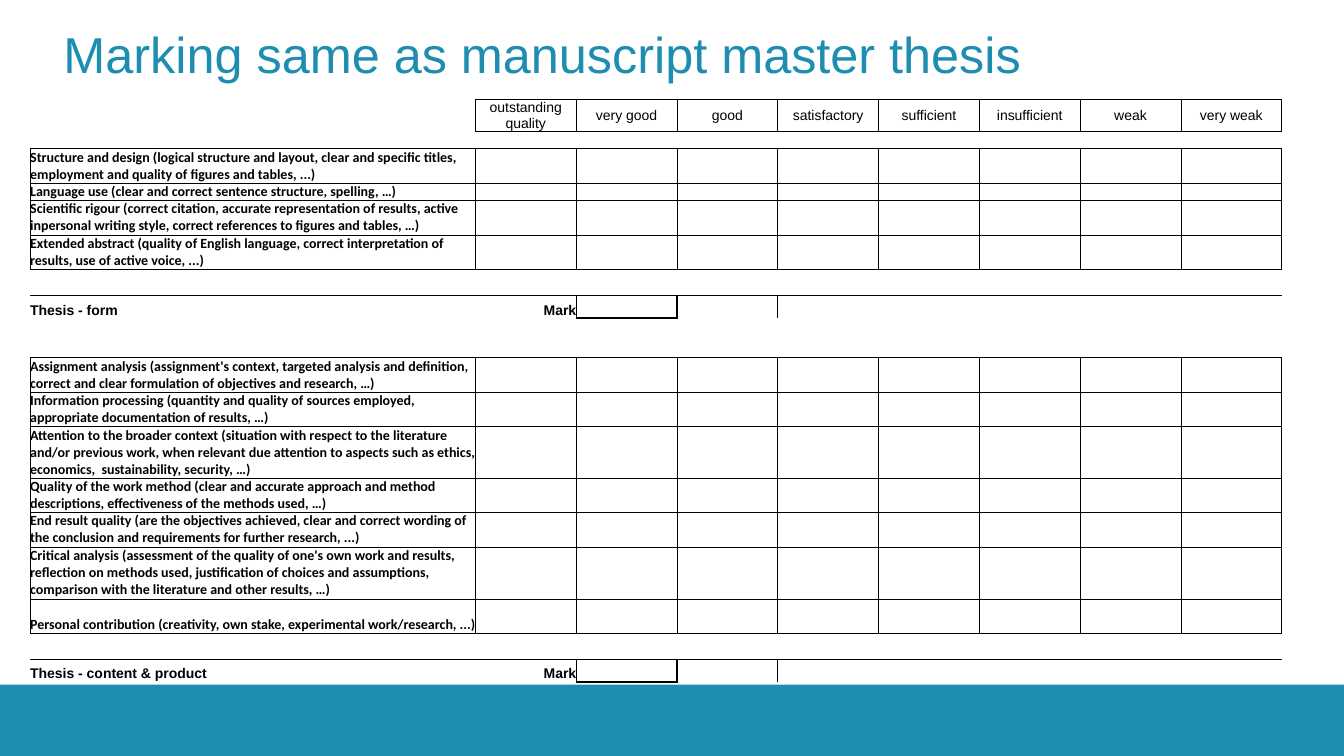
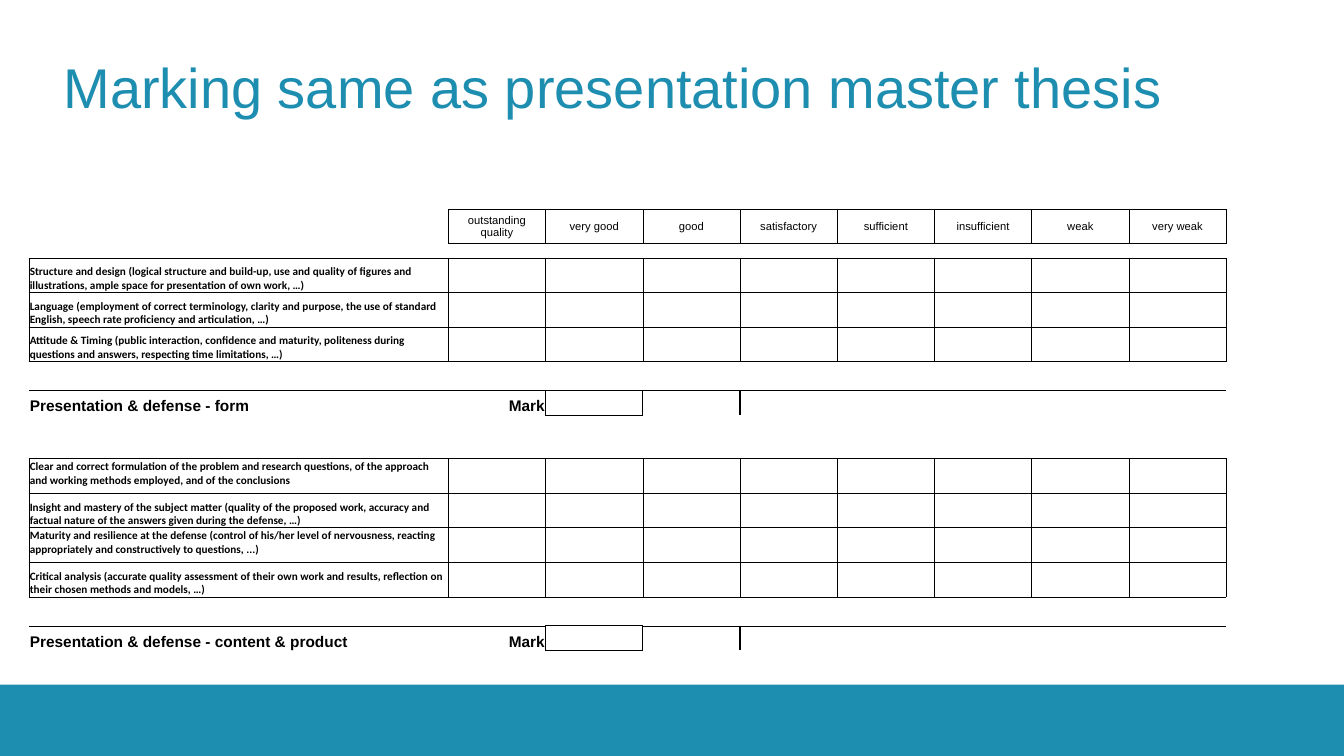
from collections import defaultdict

from lxml import etree
from pptx import Presentation
from pptx import util as u
from pptx.dml import color
from pptx.enum import shapes, text
from pptx.oxml import ns

Cm, Pt = u.Cm, u.Pt
LEFT, MID, RIGHT = text.PP_ALIGN.LEFT, text.PP_ALIGN.CENTER, text.PP_ALIGN.RIGHT
TOP, CENTER, BASE = (text.MSO_ANCHOR.TOP, text.MSO_ANCHOR.MIDDLE,
                     text.MSO_ANCHOR.BOTTOM)
NO_GRID = "{2D5ABB26-0587-4C30-8999-92F81FD0307C}"
LINE = 0.435  # height of one line of a criterion, in cm
GRADES = ["outstanding\nquality", "very good", "good", "satisfactory",
          "sufficient", "insufficient", "weak", "very weak"]
# side: row step, column step, matching side of the neighbour
SIDES = {"L": (0, -1, "R"), "R": (0, 1, "L"), "T": (-1, 0, "B"), "B": (1, 0, "T")}


def rgb(code):
    return color.RGBColor.from_string(code)


def item(words, lines=2, anchor=BASE):
    return words, lines, anchor


class Deck:
    blue, black = "1D8DB0", "000000"
    sans, body = "Arial", "Calibri"

    def __init__(self):
        self.prs = Presentation()
        self.prs.slide_width, self.prs.slide_height = Cm(33.87), Cm(19.05)

    # Slide with the bottom band and its title
    def slide(self, words, size, high):
        self.page = self.prs.slides.add_slide(self.prs.slide_layouts[5])
        band = self.page.shapes.add_shape(
            shapes.MSO_SHAPE.RECTANGLE, 0, Cm(17.25), Cm(33.87), Cm(1.8))
        band.shadow.inherit = False
        band.fill.solid()
        band.fill.fore_color.rgb = rgb(self.blue)
        band.line.fill.background()

        title = self.page.shapes.title
        title.left, title.top = Cm(1.6), Cm(0.58)
        title.width, title.height = Cm(30.66), Cm(high)
        frame = title.text_frame
        frame.margin_left = frame.margin_right = 0
        frame.margin_top = frame.margin_bottom = 0
        frame.auto_size = text.MSO_AUTO_SIZE.NONE
        frame.vertical_anchor = CENTER
        self.label(frame, words, size, self.sans, tint=self.blue)

    # Text, one run for each line
    def label(self, frame, words, size, font, bold=False, align=LEFT, tint=black):
        para = frame.paragraphs[0]
        para.alignment = align
        for n, part in enumerate(words.split("\n")):
            if n:
                para.add_line_break()
            run = para.add_run()
            run.text = part
            run.font.size, run.font.name, run.font.bold = Pt(size), font, bold
            run.font.color.rgb = rgb(tint)

    # Cell border
    def edge(self, cell, side, width):
        props = cell._tc.get_or_add_tcPr()
        line = etree.SubElement(props, ns.qn("a:ln" + side), w=str(Pt(width)))
        fill = etree.SubElement(line, ns.qn("a:solidFill"))
        etree.SubElement(fill, ns.qn("a:srgbClr"), val=self.black)

    # Marking form: grade row, then blocks of criteria that each end in a mark
    def form(self, left, top, wide, step, size, big, inset, high, blocks, tail=()):
        rows = [("gap", high["gap"], None), ("head", high["head"], None),
                ("gap", high["thin"], None)]
        for n, (name, items) in enumerate(blocks):
            if n:
                rows.append(("gap", high["split"], None))
            rows += [("item", it[1] * LINE, it) for it in items]
            rows += [("gap", high["gap"], None), ("mark", high["mark"], name)]
        rows += [("gap", tall, None) for tall in tail]

        count = len(GRADES) + 1
        total = sum(row[1] for row in rows)
        frame = self.page.shapes.add_table(
            len(rows), count, Cm(left), Cm(top),
            Cm(wide + step * len(GRADES)), Cm(total))
        grid = frame.table
        grid.first_row = grid.horz_banding = False
        grid._tbl.tblPr.find(ns.qn("a:tableStyleId")).text = NO_GRID
        for c, col in enumerate(grid.columns):
            col.width = Cm(step if c else wide)

        # Words, and the boxes that get a border
        boxes = {}
        for r, (kind, tall, data) in enumerate(rows):
            grid.rows[r].height = Cm(tall)

            def put(c, words, size, font, anchor, bold=True, align=LEFT):
                cell = grid.cell(r, c)
                cell.vertical_anchor = anchor
                self.label(cell.text_frame, words, size, font, bold, align)

            if kind == "head":
                for c, grade in enumerate(GRADES, 1):
                    put(c, grade, size, self.sans, CENTER, False, MID)
                    boxes[r, c] = 0.5
            elif kind == "item":
                put(0, data[0], size, self.body, data[2])
                boxes.update({(r, c): 0.5 for c in range(count)})
            elif kind == "mark":
                put(0, data, big, self.sans, BASE)
                put(1, "Mark", big, self.sans, BASE, align=RIGHT)
                boxes[r, 2] = 1

        # A box and its neighbours share their edges
        pens = defaultdict(dict)
        for (r, c), width in boxes.items():
            for side, (down, over, other) in SIDES.items():
                pens[r, c][side] = width
                pens[r + down, c + over][other] = width

        for r in range(len(rows)):
            for c in range(count):
                cell = grid.cell(r, c)
                cell.margin_left = cell.margin_right = Cm(inset)
                cell.margin_top, cell.margin_bottom = Cm(inset), 0
                for side in SIDES:
                    if side in pens[r, c]:
                        self.edge(cell, side, pens[r, c][side])
                cell.fill.background()
                para = cell.text_frame.paragraphs[0]
                if not para.runs:
                    etree.SubElement(para._p, ns.qn("a:endParaRPr"),
                                     sz=str(size * 100))


def main():
    deck = Deck()

    # Manuscript
    deck.slide("Marking same as manuscript master thesis", 36, 1.55)
    deck.form(
        0.76, 1.85, 11.22, 2.54, 10, 10, 0,
        {"gap": 0.66, "head": 0.81, "thin": 0.4, "mark": 0.56, "split": 0.99},
        [("Thesis - form", [
            item("Structure and design (logical structure and layout, clear and specific titles, "
                 "employment and quality of figures and tables, ...)"),
            item("Language use (clear and correct sentence structure, spelling, …)", 1),
            item("Scientific rigour (correct citation, accurate representation of results, active "
                 "inpersonal writing style, correct references to figures and tables, …)",
                 anchor=TOP),
            item("Extended abstract (quality of English language, correct interpretation of "
                 "results, use of active voice, ...)")]),
         ("Thesis - content & product", [
             item("Assignment analysis (assignment's context, targeted analysis and definition, "
                  "correct and clear formulation of objectives and research, …)"),
             item("Information processing (quantity and quality of sources employed, "
                  "appropriate documentation of results, …)"),
             item("Attention to the broader context (situation with respect to the literature "
                  "and/or previous work, when relevant due attention to aspects such as "
                  "ethics, economics,  sustainability, security, …)", 3),
             item("Quality of the work method (clear and accurate approach and method "
                  "descriptions, effectiveness of the methods used, …)", anchor=TOP),
             item("End result quality (are the objectives achieved, clear and correct wording of "
                  "the conclusion and requirements for further research, ...)", anchor=TOP),
             item("Critical analysis (assessment of the quality of one's own work and results, "
                  "reflection on methods used, justification of choices and assumptions, "
                  "comparison with the literature and other results, …)", 3, TOP),
             item("Personal contribution (creativity, own stake, experimental "
                  "work/research, ...)")])])

    # Presentation
    deck.slide("Marking same as presentation master thesis", 40, 3.2)
    deck.form(
        0.73, 4.54, 10.57, 2.45, 8, 11, 0.02,
        {"gap": 0.73, "head": 0.86, "thin": 0.37, "mark": 0.62, "split": 1.1},
        [("Presentation & defense - form", [
            item("Structure and design (logical structure and build-up, use and quality of figures "
                 "and illustrations, ample space for presentation of own work, …)"),
            item("Language (employment of correct terminology, clarity and purpose, the use of "
                 "standard English, speech rate proficiency and articulation, …)"),
            item("Attitude & Timing (public interaction, confidence and maturity, politeness "
                 "during questions and answers, respecting time limitations, …)")]),
         ("Presentation & defense - content & product", [
             item("Clear and correct formulation of the problem and research questions, of the "
                  "approach and working methods employed, and of the conclusions", anchor=TOP),
             item("Insight and mastery of the subject matter (quality of the proposed work, "
                  "accuracy and factual nature of the answers given during the defense, …)"),
             item("Maturity and resilience at the defense (control of his/her level of "
                  "nervousness, reacting appropriately and constructively to questions, ...)",
                  anchor=TOP),
             item("Critical analysis (accurate quality assessment of their own work and results, "
                  "reflection on their chosen methods and models, …)")])],
        tail=[0.62])

    deck.prs.save("out.pptx")


if __name__ == "__main__":
    main()
